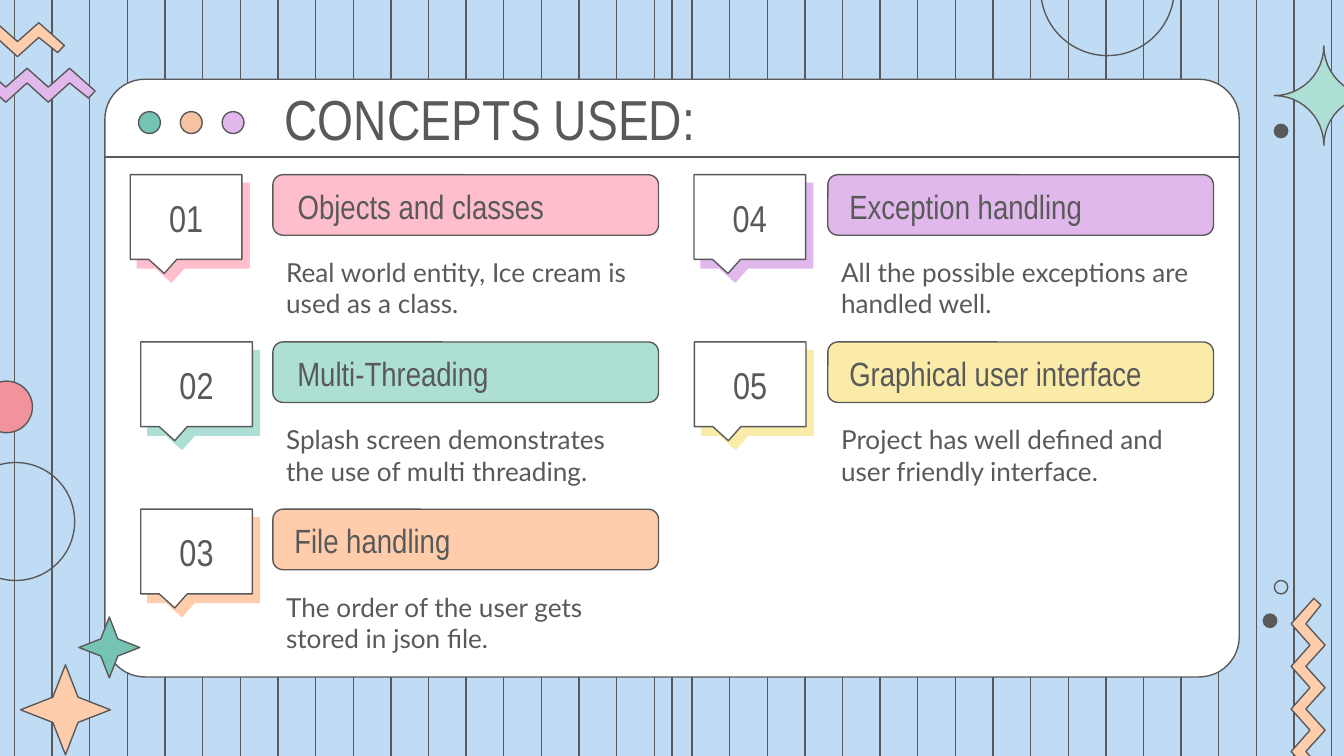
from dataclasses import dataclass
from math import cos, radians, sin

from lxml import etree
from pptx import Presentation
from pptx.dml.color import RGBColor
from pptx.enum.shapes import MSO_CONNECTOR, MSO_SHAPE
from pptx.enum.text import MSO_ANCHOR, PP_ALIGN
from pptx.oxml.ns import qn
from pptx.util import Pt

STRAIGHT = MSO_CONNECTOR.STRAIGHT
OVAL = MSO_SHAPE.OVAL
ROUNDED = MSO_SHAPE.ROUNDED_RECTANGLE
CALLOUT = MSO_SHAPE.ROUNDED_RECTANGULAR_CALLOUT
STAR = MSO_SHAPE.STAR_4_POINT
TOP, MIDDLE = MSO_ANCHOR.TOP, MSO_ANCHOR.MIDDLE
LEFT, CENTER = PP_ALIGN.LEFT, PP_ALIGN.CENTER

WIDTH, HEIGHT = 720, 405
INK, WHITE, SKY = "595959", "FFFFFF", "C0DCF5"
PEACH, LILAC, MINT, TEAL = "FFCDAB", "E1B8EC", "ADDFD5", "74C3B3"
PINK, YELLOW, CORAL, APRICOT = "FFBECB", "FAEBA8", "F2929D", "F6C4A2"
DISPLAY_FONT, BODY_FONT = "Arial Narrow", "Lato"

COLUMNS = (146.2, 443.5)
FIRST_ROW, ROW_PITCH = 93.6, 89.6
PILL_WIDTH, PILL_HEIGHT = 206.6, 32.4


@dataclass
class Concept:
    number: str
    heading: str
    body: str
    colour: str
    column: int
    row: int
    callout_left: float
    heading_indent: float


@dataclass
class Dot:
    left: float
    top: float
    size: float
    fill: str | None = None


CONCEPTS = [
    Concept("01", "Objects and classes", "Real world entity, Ice cream is used as a class.",
            PINK, 0, 0, 69.8, 6.2),
    Concept("02", "Multi-Threading", "Splash screen demonstrates the use of multi threading.",
            MINT, 0, 1, 75.4, 6),
    Concept("03", "File handling", "The order of the user gets stored in json file.",
            PEACH, 0, 2, 75.4, 4.4),
    Concept("04", "Exception handling", "All the possible exceptions are handled well.",
            LILAC, 1, 0, 371.8, 4.4),
    Concept("05", "Graphical user interface", "Project has well defined and user friendly interface.",
            YELLOW, 1, 1, 372, 4.4),
]

WINDOW_BUTTONS = [
    Dot(74.2 + 22.4 * index, 59.8, 11.7, fill) for index, fill in enumerate((TEAL, APRICOT, LILAC))
]
BACKGROUND_DOTS = [
    Dot(676.8, 329, 7.2, INK),
    Dot(682.7, 311, 7.2),
    Dot(557.5, -41.8, 71.6),
    Dot(682.7, 66.6, 7.2, INK),
    Dot(-23.2, 247.8, 63.2),
    Dot(-10.2, 204.2, 27.6, CORAL),
]


def rgb(colour: str) -> RGBColor:
    return RGBColor.from_string(colour)


def paint(shape, fill: str | None) -> None:
    shape.shadow.inherit = False
    if fill:
        shape.fill.solid()
        shape.fill.fore_color.rgb = rgb(fill)
    else:
        shape.fill.background()
    shape.line.color.rgb = rgb(INK)
    shape.line.width = Pt(0.75)


def add_preset(slide, kind, left: float, top: float, width: float, height: float,
               fill: str | None, adjustments: tuple = ()):
    shape = slide.shapes.add_shape(kind, Pt(left), Pt(top), Pt(width), Pt(height))
    for index, value in enumerate(adjustments):
        shape.adjustments[index] = value
    paint(shape, fill)
    return shape


def add_dot(slide, dot: Dot) -> None:
    add_preset(slide, OVAL, dot.left, dot.top, dot.size, dot.size, dot.fill)


def add_line(slide, x1: float, y1: float, x2: float, y2: float) -> None:
    line = slide.shapes.add_connector(STRAIGHT, Pt(x1), Pt(y1), Pt(x2), Pt(y2))
    line.line.color.rgb = rgb(INK)
    line.line.width = Pt(0.75)
    etree.SubElement(line._element.spPr, qn("a:effectLst"))


def add_outline(slide, points: list[tuple[float, float]], fill: str):
    corners = [(Pt(x), Pt(y)) for x, y in points]
    builder = slide.shapes.build_freeform(*corners[0])
    builder.add_line_segments(corners[1:], close=True)
    shape = builder.convert_to_shape()
    paint(shape, fill)
    return shape


def add_zigzag(slide, left: float, top: float, fill: str, rotation: float = 0) -> None:
    def bends(valley: float, peak: float) -> list[tuple[float, float]]:
        return [(13.7 + 11.4 * k, peak if k % 2 else valley) for k in range(8)]

    points = [(3.6, 2.2), *bends(10.1, 0), (107.2, 12.2),
              (103.6, 16), *reversed(bends(18.2, 7.9)), (0, 6)]
    band = add_outline(slide, [(left + x, top + y) for x, y in points], fill)
    band.rotation = rotation


def add_sparkle(slide, center_x: float, center_y: float, radius: float, fill: str) -> None:
    """Draw a four-pointed star whose sides are quarter circles."""
    points = []
    for side_x, side_y, start in ((-1, -1, 0), (-1, 1, 270), (1, 1, 180), (1, -1, 90)):
        for step in range(13):
            angle = radians(start + 7.5 * step)
            points.append((center_x + radius * (side_x + cos(angle)),
                           center_y + radius * (side_y + sin(angle))))
    add_outline(slide, points, fill)


def add_text(slide, text: str, left: float, top: float, width: float, height: float,
             size: float, font: str = DISPLAY_FONT, anchor=MIDDLE, alignment=LEFT) -> None:
    frame = slide.shapes.add_textbox(Pt(left), Pt(top), Pt(width), Pt(height)).text_frame
    frame.word_wrap = True
    frame.vertical_anchor = anchor
    frame.margin_left = frame.margin_right = frame.margin_top = frame.margin_bottom = Pt(7.2)
    paragraph = frame.paragraphs[0]
    paragraph.alignment = alignment
    run = paragraph.add_run()
    run.text = text
    run.font.size = Pt(size)
    run.font.name = font
    run.font.color.rgb = rgb(INK)


def add_hard_shadow(shape, colour: str) -> None:
    effects = shape._element.spPr.find(qn("a:effectLst"))
    shadow = etree.SubElement(effects, qn("a:outerShdw"), blurRad="0", dist=str(Pt(6)),
                              dir=str(50 * 60000), algn="bl", rotWithShape="0")
    etree.SubElement(shadow, qn("a:srgbClr"), val=colour)


def add_concept(slide, concept: Concept) -> None:
    left = COLUMNS[concept.column]
    top = FIRST_ROW + ROW_PITCH * concept.row
    add_preset(slide, ROUNDED, left, top, PILL_WIDTH, PILL_HEIGHT, concept.colour, (0.167,))
    callout = add_preset(slide, CALLOUT, concept.callout_left, top, 59.8, 45.4, WHITE,
                         (-0.195, 0.666, 0))
    add_hard_shadow(callout, concept.colour)
    add_text(slide, concept.number, concept.callout_left + 5.8, top + 6.5, 48.2, 32.4, 20,
             alignment=CENTER)
    add_text(slide, concept.heading, left + concept.heading_indent, top + 0.4, 196.6,
             PILL_HEIGHT, 18)
    add_text(slide, concept.body, left, top + 36.6, PILL_WIDTH, 42.5, 14, BODY_FONT, TOP)


def main() -> None:
    presentation = Presentation()
    presentation.slide_width, presentation.slide_height = Pt(WIDTH), Pt(HEIGHT)
    slide = presentation.slides.add_slide(presentation.slide_layouts[6])
    slide.background.fill.solid()
    slide.background.fill.fore_color.rgb = rgb(SKY)

    for index in range(36):
        x = 7.8 + 20.16 * index
        add_line(slide, x, 0, x, HEIGHT)
    add_line(slide, WIDTH / 2, 0, WIDTH / 2, HEIGHT)

    add_preset(slide, ROUNDED, 56.2, 42.5, 607.7, 320.2, WHITE, (0.067,))
    add_line(slide, 663.8, 84.2, 55.6, 84.2)
    for dot in WINDOW_BUTTONS:
        add_dot(slide, dot)

    add_zigzag(slide, -72.7, 12.2, PEACH)
    add_zigzag(slide, -56.2, 36.6, LILAC)
    add_zigzag(slide, 647.2, 365, PEACH, 270)
    for dot in BACKGROUND_DOTS:
        add_dot(slide, dot)
    add_sparkle(slide, 709.2, 51.2, 26.6, MINT)

    add_text(slide, "CONCEPTS USED:", 145.4, 42.5, 497.5, 41.8, 30.2)
    for concept in CONCEPTS:
        add_concept(slide, concept)
    add_preset(slide, STAR, 11, 356.2, 48.2, 48.2, PEACH, (0.198,))
    add_preset(slide, STAR, 42.3, 330.6, 32.6, 32.6, TEAL, (0.198,))
    presentation.save("out.pptx")


if __name__ == "__main__":
    main()
